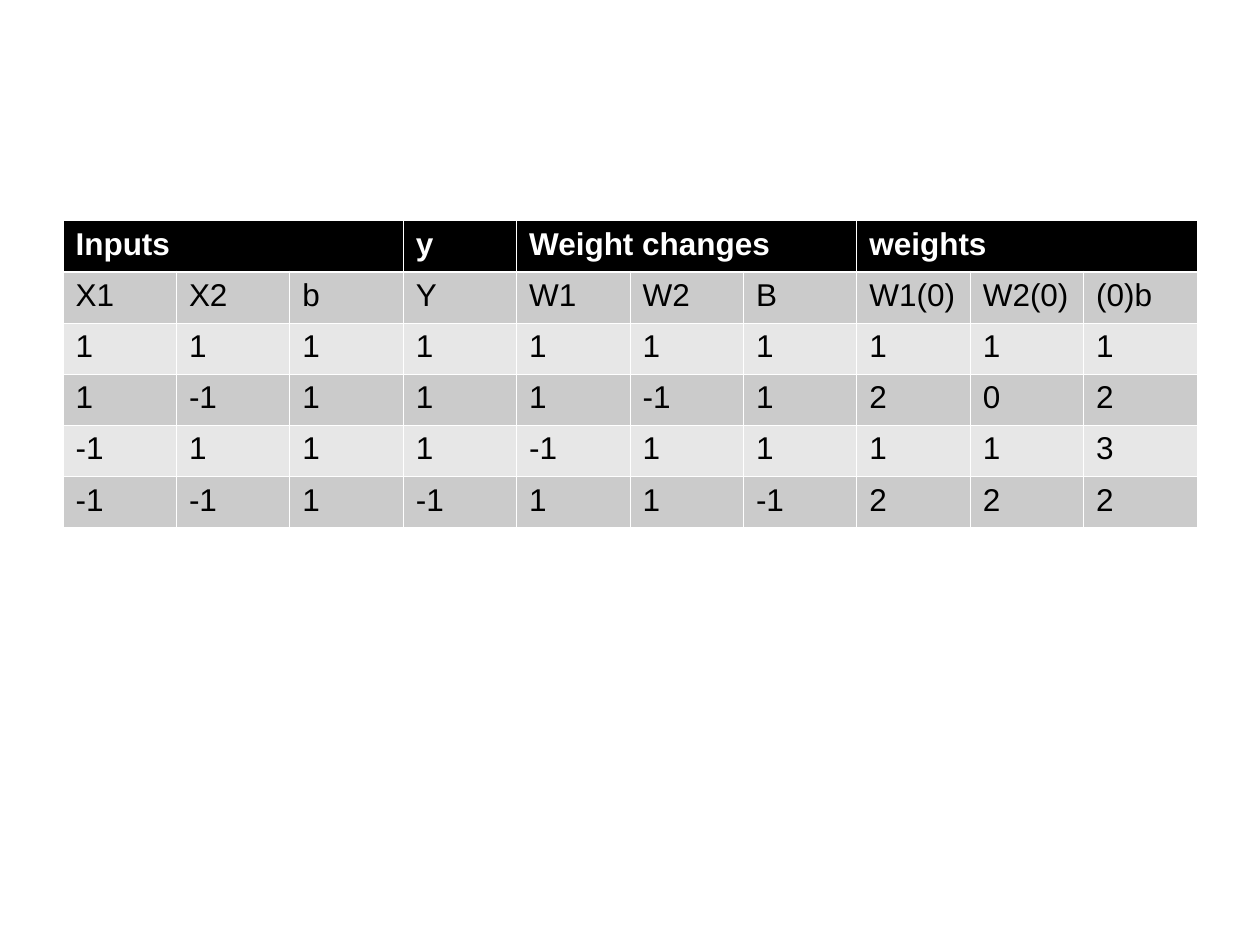
from dataclasses import dataclass

from lxml import etree
from pptx import Presentation
from pptx import util as u
from pptx.dml.color import RGBColor
from pptx.enum import text
from pptx.oxml import ns

BLACK = RGBColor(0x00, 0x00, 0x00)
WHITE = RGBColor(0xFF, 0xFF, 0xFF)
DARK_BAND = RGBColor(0xCB, 0xCB, 0xCB)
LIGHT_BAND = RGBColor(0xE7, 0xE7, 0xE7)

THIN = u.Pt(0.45)
THICK = u.Pt(1.47)
COLUMN_WIDTH = u.Cm(2.286)
ROW_HEIGHT = u.Cm(1.03)


@dataclass(frozen=True)
class HeaderGroup:
    label: str
    span: int


HEADER_GROUPS = (
    HeaderGroup("Inputs", 3),
    HeaderGroup("y", 1),
    HeaderGroup("Weight changes", 3),
    HeaderGroup("weights", 3),
)
TRAINING_ROWS = (
    ("X1", "X2", "b", "Y", "W1", "W2", "B", "W1(0)", "W2(0)", "(0)b"),
    (1, 1, 1, 1, 1, 1, 1, 1, 1, 1),
    (1, -1, 1, 1, 1, -1, 1, 2, 0, 2),
    (-1, 1, 1, 1, -1, 1, 1, 1, 1, 3),
    (-1, -1, 1, -1, 1, 1, -1, 2, 2, 2),
)


def write_text(cell, content: str, *, color: RGBColor = BLACK, bold: bool = False,
               size: float = 18, font: str = "Arial") -> None:
    cell.vertical_anchor = text.MSO_ANCHOR.TOP
    paragraph = cell.text_frame.paragraphs[0]
    paragraph.alignment = text.PP_ALIGN.LEFT
    run = paragraph.add_run()
    run.text = content
    run.font.name = font
    run.font.size = u.Pt(size)
    run.font.bold = bold
    run.font.color.rgb = color


def style_cell(cell, fill: RGBColor, top: int = THIN, bottom: int = THIN) -> None:
    properties = cell._tc.get_or_add_tcPr()
    for side, width in (("L", THIN), ("R", THIN), ("T", top), ("B", bottom)):
        line = etree.SubElement(properties, ns.qn(f"a:ln{side}"), w=str(int(width)))
        solid = etree.SubElement(line, ns.qn("a:solidFill"))
        etree.SubElement(solid, ns.qn("a:srgbClr"), val=str(WHITE))
    cell.fill.solid()
    cell.fill.fore_color.rgb = fill


def draw_header(table, groups: tuple[HeaderGroup, ...]) -> None:
    first = 0
    for group in groups:
        last = first + group.span - 1
        for column in range(first, last + 1):
            style_cell(table.cell(0, column), BLACK, bottom=THICK)
        if group.span > 1:
            table.cell(0, first).merge(table.cell(0, last))
        write_text(table.cell(0, first), group.label, color=WHITE, bold=True)
        first = last + 1


def draw_body(table, rows: tuple[tuple, ...]) -> None:
    for row, values in enumerate(rows, start=1):
        fill = DARK_BAND if row % 2 else LIGHT_BAND
        for column, value in enumerate(values):
            cell = table.cell(row, column)
            style_cell(cell, fill, top=THICK if row == 1 else THIN)
            write_text(cell, str(value))


def main() -> None:
    presentation = Presentation()
    presentation.slide_width = u.Cm(25.4)
    presentation.slide_height = u.Cm(19.05)
    slide = presentation.slides.add_slide(presentation.slide_layouts[6])

    row_count = len(TRAINING_ROWS) + 1
    column_count = len(TRAINING_ROWS[0])
    table = slide.shapes.add_table(
        row_count, column_count, u.Cm(1.27), u.Cm(4.45),
        COLUMN_WIDTH * column_count, ROW_HEIGHT * row_count,
    ).table
    table.first_row = False
    table.horz_banding = False
    draw_header(table, HEADER_GROUPS)
    draw_body(table, TRAINING_ROWS)

    presentation.save("out.pptx")


if __name__ == "__main__":
    main()
